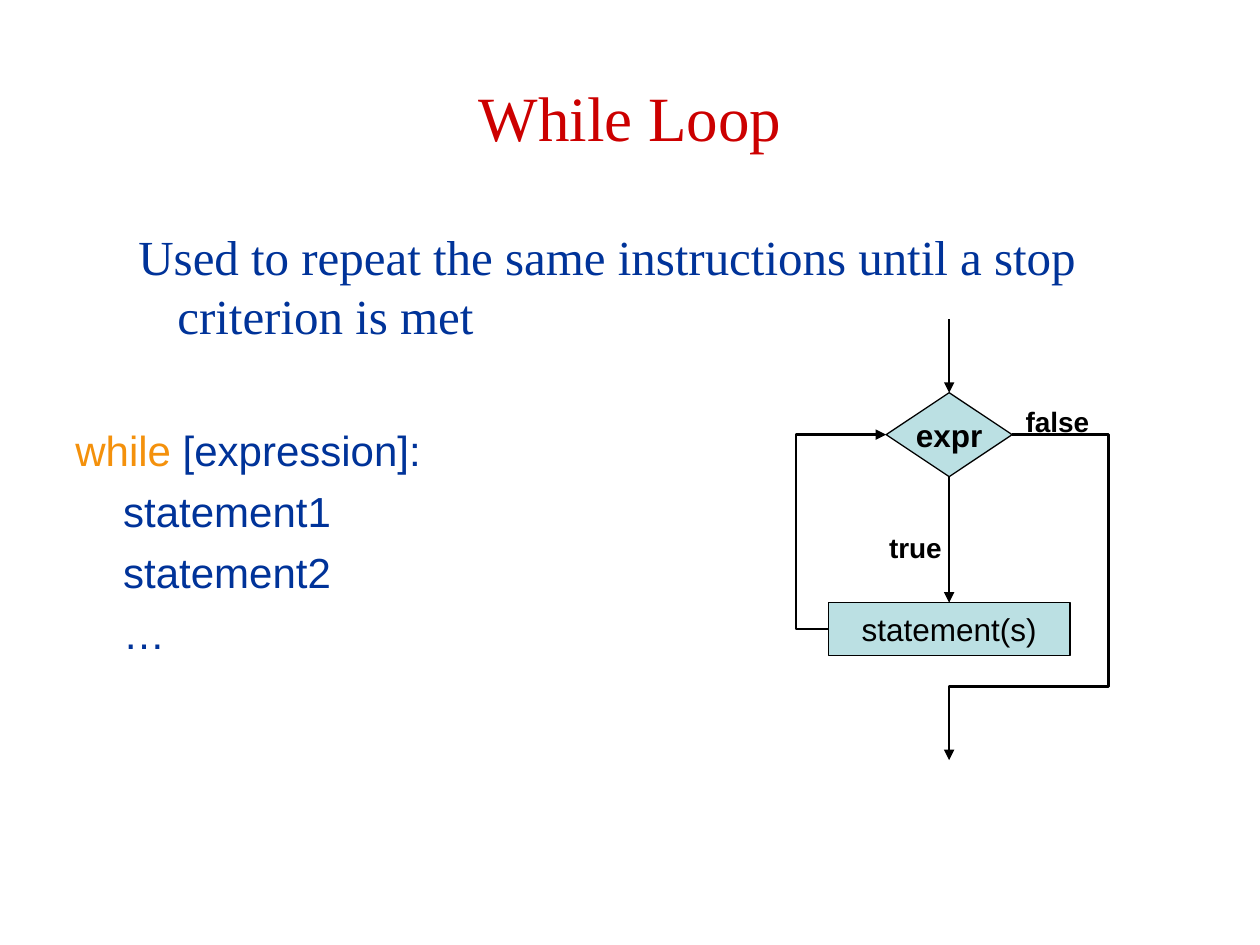
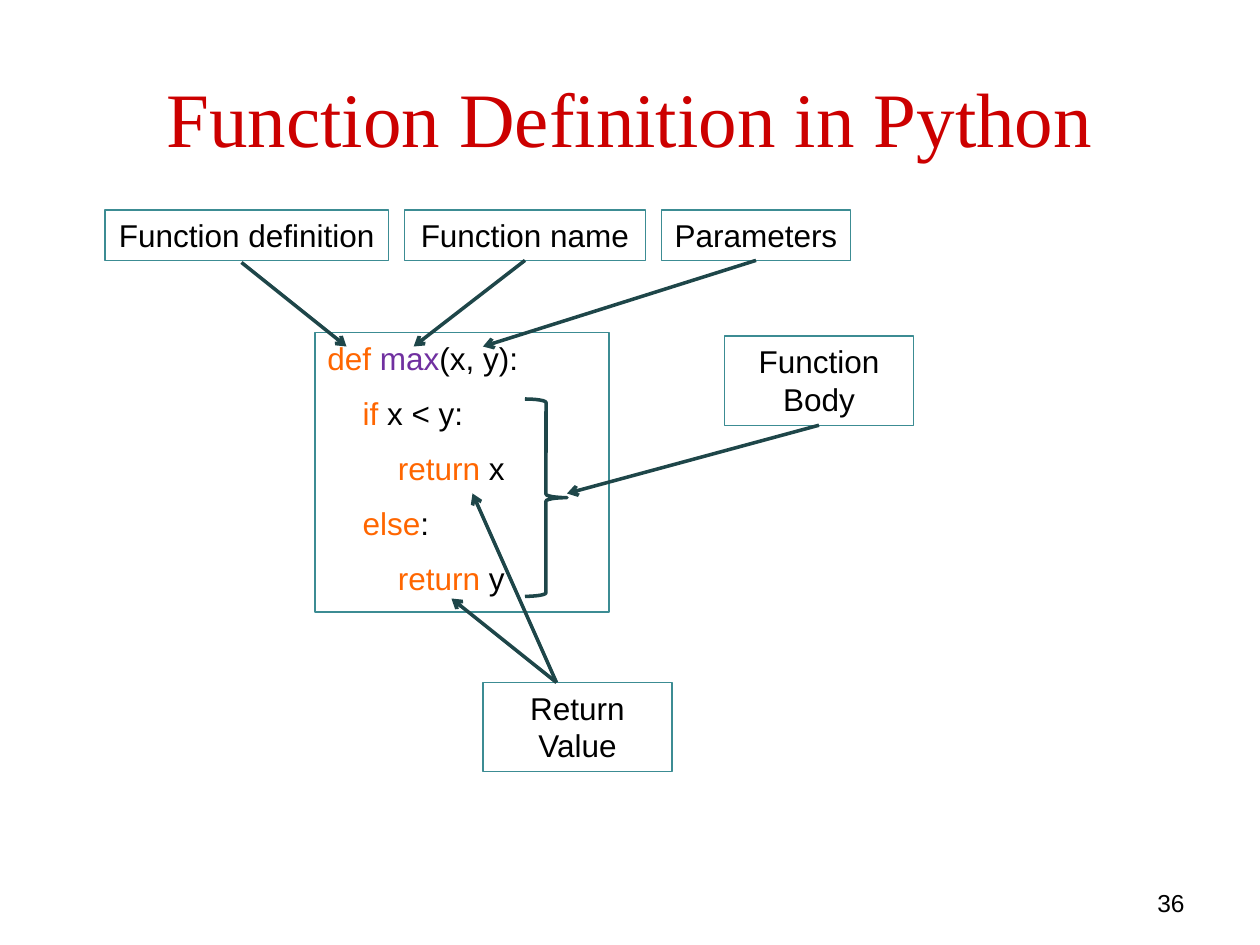
from dataclasses import dataclass
from lxml import etree
from pptx import Presentation
from pptx.dml.color import RGBColor
from pptx.enum.shapes import MSO_CONNECTOR, MSO_SHAPE
from pptx.enum.text import MSO_ANCHOR, PP_ALIGN
from pptx.oxml.ns import qn
from pptx.util import Inches, Pt

STRAIGHT, ELBOW = MSO_CONNECTOR.STRAIGHT, MSO_CONNECTOR.ELBOW
RECT, BRACE = MSO_SHAPE.RECTANGLE, MSO_SHAPE.RIGHT_BRACE
DECISION, PROCESS = MSO_SHAPE.FLOWCHART_DECISION, MSO_SHAPE.FLOWCHART_PROCESS
LEFT, CENTER, RIGHT = PP_ALIGN.LEFT, PP_ALIGN.CENTER, PP_ALIGN.RIGHT
TOP, MIDDLE = MSO_ANCHOR.TOP, MSO_ANCHOR.MIDDLE


@dataclass(frozen=True)
class Theme:
    serif: str = "Times New Roman"
    sans: str = "Arial"
    title: str = "CC0000"
    body: str = "003399"
    amber: str = "F4910C"
    keyword: str = "FF6600"
    name: str = "7030A0"
    ink: str = "000000"
    node: str = "BBE0E3"
    frame: str = "3C8C93"
    pointer: str = "1E4649"
    thin: float = 0.75
    flow: float = 1.5
    bold: float = 2
    lead_size: int = 28
    syntax_size: int = 24
    text_size: int = 18
    branch_size: int = 16
    number_size: int = 14


T = Theme()

# The slide is a grid of 120 columns by 90 rows, 12 to the inch
COLUMNS, ROWS = 120, 90
TITLE_AREA = (6, 3.6, 108, 15)

# Content: while loop
LEAD = "Used to repeat the same instructions until a stop criterion is met"
SYNTAX = [  # (indent in inches, runs)
    (0, [("while", T.amber), (" [expression]:", T.body)]),
    (0.38, [("statement1", T.body)]),
    (0.38, [("statement2", T.body)]),
    (0.38, [("…", T.body)]),
]
AXIS = 90.4  # column on which the flow runs
TEST_TOP, TEST_W, TEST_H = 37.4, 12, 8
STEP_TOP, STEP_W, STEP_H = 57.4, 23, 5
FLOW_TOP, FLOW_END, EXIT_ROW = 30.4, 72.4, 65.4
LOOP_COLUMN, EXIT_COLUMN = 75.8, 105.6
BRANCHES = [("true", (83.5, 49.9, 7.4, 4.4)), ("false", (96.5, 37.9, 8.5, 4.4))]

# Content: function definition
CODE = [  # (level, runs)
    (0, [("def ", T.keyword), ("max", T.name), ("(x, y):", T.ink)]),
    (1, [("if", T.keyword), (" x < y:", T.ink)]),
    (2, [("return", T.keyword), (" x", T.ink)]),
    (1, [("else", T.keyword), (":", T.ink)]),
    (2, [("return", T.keyword), (" y", T.ink)]),
]
CODE_AREA = (30, 31.7, 28, 26.6)
CODE_INDENT = 0.28
BODY_BRACE = (50, 38, 4, 18.8)
TOP_TERMS = [("Function definition", 27), ("Function name", 23), ("Parameters", 18)]
TERMS_LEFT, TERMS_TOP, TERM_GAP = 10, 20, 1.5
ONE_LINE, TWO_LINES = 4.8, 8.5
SIDE_TERMS = [("Function Body", (69, 32)), ("Return Value", (46, 65))]
POINTERS = [
    ((23, 25), (33, 33)),
    ((50, 24.8), (39.4, 33)),
    ((72, 24.8), (46, 33)),
    ((78, 40.5), (54, 47)),
    ((53, 65), (43, 57)),
    ((53, 65), (45, 47)),
]


def grid(*cells):
    return [Inches(c / 12) for c in cells]


def color(value):
    return RGBColor.from_string(value)


def write(frame, lines, size, font=T.sans, align=LEFT, anchor=TOP, wrap=True,
          bold=False, before=0):
    """Write lines of (indent, runs); later lines are set off by `before`."""
    frame.word_wrap, frame.vertical_anchor = wrap, anchor
    for i, (indent, runs) in enumerate(lines):
        paragraph = frame.paragraphs[0] if i == 0 else frame.add_paragraph()
        add_runs(paragraph, runs, size, font, bold)
        paragraph.alignment = align
        paragraph.space_before = Pt(before if i else 0)
        set_indent(paragraph, indent)


def add_runs(paragraph, runs, size, font, bold=False):
    for text, ink in runs:
        run = paragraph.add_run()
        run.text = text
        run.font.name, run.font.size, run.font.bold = font, Pt(size), bold
        run.font.color.rgb = color(ink)


def set_indent(paragraph, left, first=0):
    properties = paragraph._p.get_or_add_pPr()
    properties.set("marL", str(Inches(left)))
    properties.set("indent", str(Inches(first)))


def text_area(slide, area, text, size, ink=T.ink, **style):
    box = slide.shapes.add_textbox(*grid(*area))
    write(box.text_frame, [(0, [(text, ink)])], size, **style)


def outline(slide, kind, area, line, width, fill=None):
    shape = slide.shapes.add_shape(kind, *grid(*area))
    shape.shadow.inherit = False
    if fill:
        shape.fill.solid()
        shape.fill.fore_color.rgb = color(fill)
    else:
        shape.fill.background()
    shape.line.color.rgb, shape.line.width = color(line), Pt(width)
    return shape


def arrow(slide, start, end, ink, width, head, via=None):
    """Draw an arrow; `via` is the column, and maybe row, where it bends."""
    link = slide.shapes.add_connector(ELBOW if via else STRAIGHT,
                                      *grid(*start, *end))
    link.line.color.rgb, link.line.width = color(ink), Pt(width)
    properties = link._element.spPr
    etree.SubElement(properties.find(qn("a:ln")), qn("a:tailEnd"), type=head)
    etree.SubElement(properties, qn("a:effectLst"))
    if via:
        geometry = properties.find(qn("a:prstGeom"))
        geometry.set("prst", f"bentConnector{len(via) + 2}")
        guides = geometry.find(qn("a:avLst"))
        for i, (bend, a, b) in enumerate(zip(via, start, end), 1):
            share = round((bend - a) / (b - a) * 100000)
            etree.SubElement(guides, qn("a:gd"), name=f"adj{i}", fmla=f"val {share}")


def new_slide(deck, title, size):
    slide = deck.slides.add_slide(deck.slide_layouts[6])
    text_area(slide, TITLE_AREA, title, size, T.title, font=T.serif,
              align=CENTER, anchor=MIDDLE)
    return slide


def flow_node(slide, kind, top, width, height, text, bold=False):
    node = outline(slide, kind, (AXIS - width / 2, top, width, height),
                   T.ink, T.thin, T.node)
    write(node.text_frame, [(0, [(text, T.ink)])], T.text_size, align=CENTER,
          anchor=MIDDLE, wrap=False, bold=bold)


def term(slide, area, text):
    box = outline(slide, RECT, area, T.frame, T.thin)
    write(box.text_frame, [(0, [(text, T.ink)])], T.text_size, align=CENTER)


def build_while_loop(deck):
    slide = new_slide(deck, "While Loop", 36)

    # Lead sentence, then the syntax below it
    frame = slide.shapes.add_textbox(*grid(6, 21, 108, 59.4)).text_frame
    frame.word_wrap = True
    lead = frame.paragraphs[0]
    add_runs(lead, [(LEAD, T.body)], T.lead_size, T.serif)
    set_indent(lead, 0.81, -0.31)
    lead.space_before = Pt(4)
    for i, (indent, runs) in enumerate(SYNTAX):
        line = frame.add_paragraph()
        add_runs(line, runs, T.syntax_size, T.sans)
        set_indent(line, indent)
        line.space_before = Pt(6 if i else 46)

    # Flowchart
    flow_node(slide, DECISION, TEST_TOP, TEST_W, TEST_H, "expr", bold=True)
    flow_node(slide, PROCESS, STEP_TOP, STEP_W, STEP_H, "statement(s)")
    test_row, step_row = TEST_TOP + TEST_H / 2, STEP_TOP + STEP_H / 2
    test_left, test_right = AXIS - TEST_W / 2, AXIS + TEST_W / 2
    flows = [
        ((AXIS, FLOW_TOP), (AXIS, TEST_TOP), None),
        ((AXIS, TEST_TOP + TEST_H), (AXIS, STEP_TOP), None),
        ((AXIS - STEP_W / 2, step_row), (test_left, test_row), [LOOP_COLUMN]),
        ((test_right, test_row), (AXIS, FLOW_END), [EXIT_COLUMN, EXIT_ROW]),
    ]
    for start, end, via in flows:
        arrow(slide, start, end, T.ink, T.flow, "triangle", via)
    for answer, area in BRANCHES:
        text_area(slide, area, answer, T.branch_size, wrap=False, bold=True)


def build_function_definition(deck):
    slide = new_slide(deck, "Function Definition in Python", 44)
    text_area(slide, (86, 84, 28, 3), "36", T.number_size, align=RIGHT)

    # Code
    code = outline(slide, RECT, CODE_AREA, T.frame, T.thin)
    lines = [(level * CODE_INDENT, runs) for level, runs in CODE]
    write(code.text_frame, lines, T.text_size, before=9.8)
    outline(slide, BRACE, BODY_BRACE, T.pointer, T.bold)

    # Terms and their pointers
    left = TERMS_LEFT
    for text, width in TOP_TERMS:
        term(slide, (left, TERMS_TOP, width, ONE_LINE), text)
        left += width + TERM_GAP
    for text, corner in SIDE_TERMS:
        term(slide, (*corner, 18, TWO_LINES), text)
    for start, end in POINTERS:
        arrow(slide, start, end, T.pointer, T.bold, "arrow")


deck = Presentation()
deck.slide_width, deck.slide_height = grid(COLUMNS, ROWS)
build_while_loop(deck)
build_function_definition(deck)
deck.save("out.pptx")
